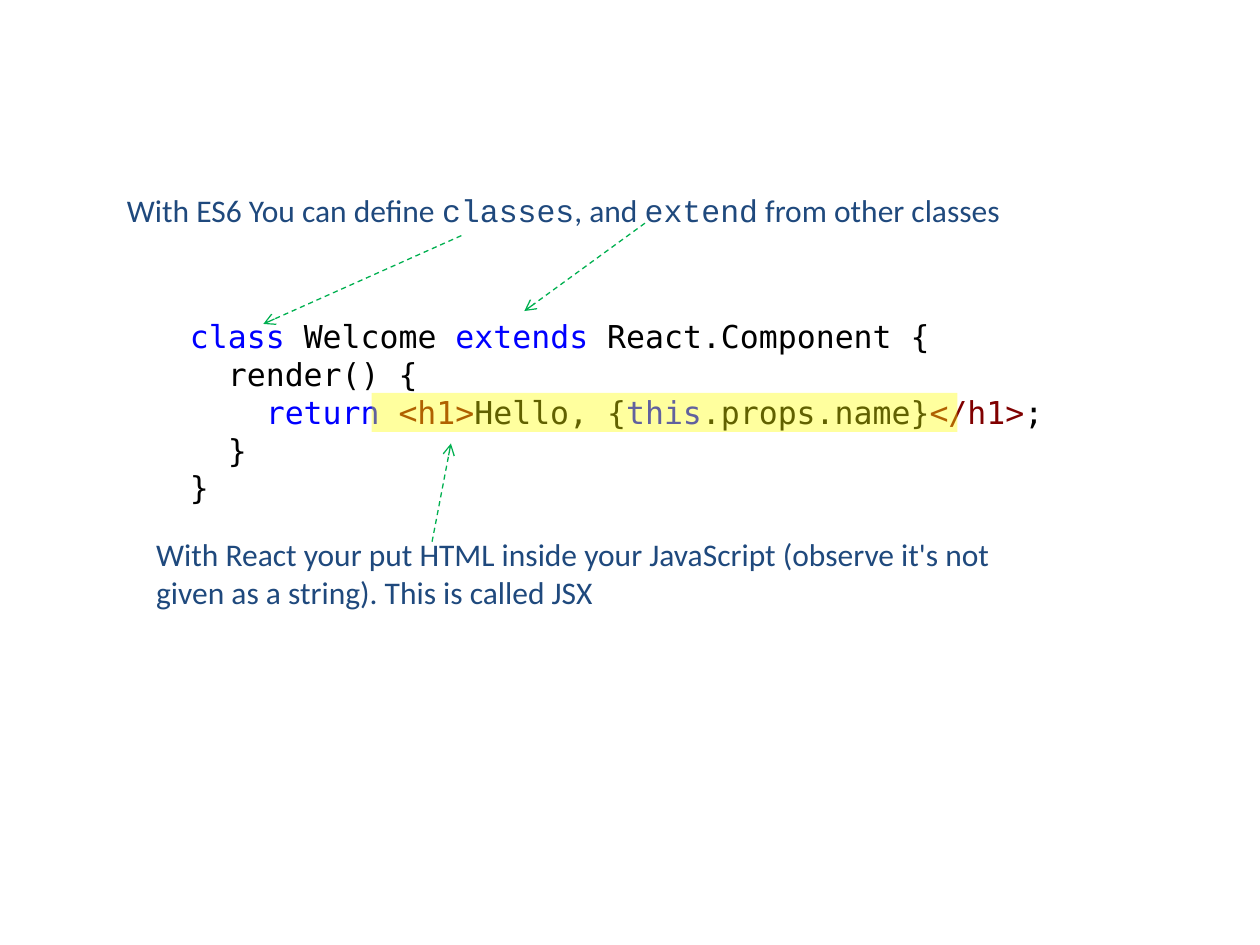
"""Build a slide that explains a JSX class with notes and arrows."""
from lxml import etree
from pptx import Presentation, util as u
from pptx.dml.color import RGBColor
from pptx.enum import dml, shapes, text
from pptx.oxml.ns import qn

HUES = {"key": "0000FF", "tag": "800000", "code": "000000",
        "note": "1F497D", "line": "00B050", "mark": "FFFF00"}
SANS, MONO, FIXED = "Calibri", "DejaVu Sans Mono", "Courier New"

CODE = [
    [("class", "key"), (" Welcome ", "code"), ("extends", "key"),
     (" React.Component {", "code")],
    [("  render() {", "code")],
    [("    return ", "key"), ("<h1>", "tag"), ("Hello, {", "code"),
     ("this", "key"), (".props.name}", "code"), ("</h1>", "tag"), (";", "code")],
    [("  }", "code")],
    [("}", "code")],
]
INTRO = [("With ES6 You can define ", SANS), ("classes", FIXED), (", and ", SANS),
         ("extend", FIXED), (" from other classes", SANS)]
JSX = ("With React your put HTML inside your JavaScript "
       "(observe it's not given as a string). This is called JSX")
ARROWS = [(9.3, 4.75, 5.31, 6.53), (13, 4.5, 10.57, 6.27), (8.71, 10.92, 9.09, 8.94)]


def hue(name):
    return RGBColor.from_string(HUES[name])


def cms(*sizes):
    return [u.Cm(size) for size in sizes]


def add_text(slide, box, lines, wrap=True):
    frame = slide.shapes.add_textbox(*cms(*box)).text_frame
    frame.word_wrap = wrap
    frame.auto_size = text.MSO_AUTO_SIZE.SHAPE_TO_FIT_TEXT
    for i, line in enumerate(lines):
        para = frame.add_paragraph() if i else frame.paragraphs[0]
        para.font.size = u.Pt(18)
        for words, face, tint in line:
            run = para.add_run()
            run.text = words
            run.font.name = face
            run.font.size = u.Pt(18)
            run.font.color.rgb = hue(tint)


def add_arrow(slide, ends):
    link = slide.shapes.add_connector(shapes.MSO_CONNECTOR.STRAIGHT, *cms(*ends))
    link.line.color.rgb = hue("line")
    link.line.width = u.Pt(0.75)
    link.line.dash_style = dml.MSO_LINE.DASH
    props = link.line._get_or_add_ln()
    etree.SubElement(props, qn("a:tailEnd"), type="arrow")
    etree.SubElement(link._element.spPr, qn("a:effectLst"))


def add_mark(slide, box):
    mark = slide.shapes.add_shape(shapes.MSO_SHAPE.RECTANGLE, *cms(*box))
    mark.shadow.inherit = False
    mark.line.fill.background()
    mark.fill.solid()
    mark.fill.fore_color.rgb = hue("mark")
    tint = mark._element.spPr.find(".//" + qn("a:srgbClr"))
    etree.SubElement(tint, qn("a:alpha"), val="38000")


def main():
    deck = Presentation()
    deck.slide_width, deck.slide_height = cms(25.4, 19.05)
    slide = deck.slides.add_slide(deck.slide_layouts[6])
    code = [[(words, MONO, tint) for words, tint in line] for line in CODE]
    intro = [(words, face, "note") for words, face in INTRO]
    add_text(slide, (3.58, 6.27, 19.74, 4.11), code)
    add_text(slide, (2.31, 3.73, 18.29, 1.02), [intro], wrap=False)
    add_text(slide, (2.9, 10.67, 17.81, 1.8), [[(JSX, SANS, "note")]])
    for ends in ARROWS:
        add_arrow(slide, ends)
    add_mark(slide, (7.49, 7.92, 11.81, 0.79))
    deck.save("out.pptx")


main()
